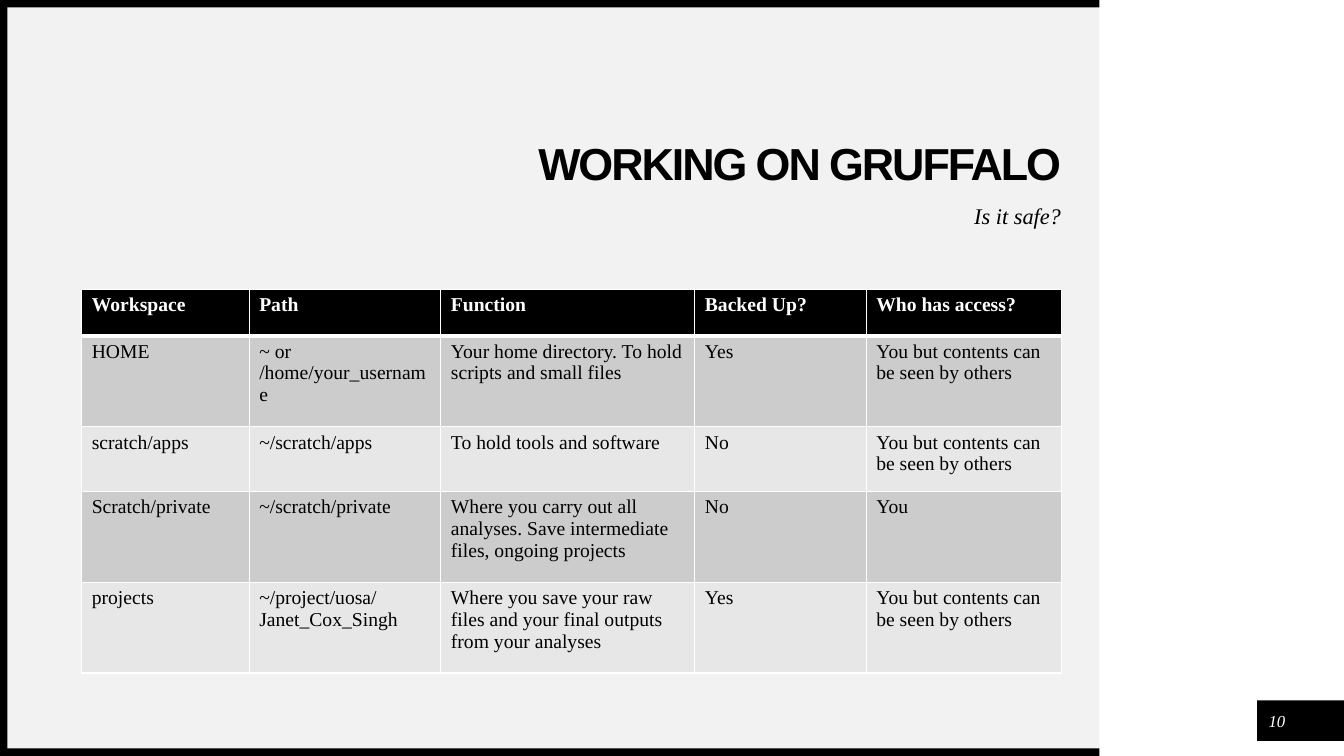
import pptx
import pptx.dml.color
import pptx.enum.shapes
import pptx.enum.text
import pptx.oxml.ns
import pptx.util
from lxml import etree

Cm = pptx.util.Cm
Pt = pptx.util.Pt
RGBColor = pptx.dml.color.RGBColor
PP_ALIGN = pptx.enum.text.PP_ALIGN
MSO_ANCHOR = pptx.enum.text.MSO_ANCHOR
qn = pptx.oxml.ns.qn

BLACK = RGBColor(0x00, 0x00, 0x00)
WHITE = RGBColor(0xFF, 0xFF, 0xFF)
PANEL = RGBColor(0xF2, 0xF2, 0xF2)
BAND_DARK = RGBColor(0xCC, 0xCC, 0xCC)
BAND_LIGHT = RGBColor(0xE7, 0xE7, 0xE7)

SLIDE_W, SLIDE_H = 33.87, 19.05
PANEL_RIGHT = 27.71
EDGE = 0.19

COL_WIDTHS = [4.22, 4.83, 6.4, 4.32, 4.93]
ROW_HEIGHTS = [1.17, 2.29, 1.63, 2.29, 2.29]
SHARED = "You but contents can be seen by others"
WORKSPACES = [
    ["Workspace", "Path", "Function", "Backed Up?", "Who has access?"],
    ["HOME", "~ or /home/your_username",
     "Your home directory. To hold scripts and small files", "Yes", SHARED],
    ["scratch/apps", "~/scratch/apps", "To hold tools and software", "No", SHARED],
    ["Scratch/private", "~/scratch/private",
     "Where you carry out all analyses. Save intermediate files, ongoing projects",
     "No", "You"],
    ["projects", "~/project/uosa/Janet_Cox_Singh",
     "Where you save your raw files and your final outputs from your analyses",
     "Yes", SHARED],
]


def write_text(tf, text, size=14, font="Times New Roman", color=BLACK, bold=False,
               italic=False, align=PP_ALIGN.LEFT, line_spacing=None, tracking=None):
    p = tf.paragraphs[0]
    p.alignment = align
    p.line_spacing = line_spacing
    r = p.add_run()
    r.text = text
    r.font.size = Pt(size)
    r.font.name = font
    r.font.color.rgb = color
    r.font.bold = bold
    r.font.italic = italic
    if tracking is not None:
        r.font._element.set("spc", str(round(tracking * 100)))


def add_block(s, left, top, width, height, color):
    sp = s.shapes.add_shape(pptx.enum.shapes.MSO_SHAPE.RECTANGLE,
                            Cm(left), Cm(top), Cm(width), Cm(height))
    sp.shadow.inherit = False
    sp.fill.solid()
    sp.fill.fore_color.rgb = color
    sp.line.fill.background()


def add_label(s, left, top, width, height, text, anchor=MSO_ANCHOR.TOP, **style):
    tf = s.shapes.add_textbox(Cm(left), Cm(top), Cm(width), Cm(height)).text_frame
    tf.word_wrap = True
    tf.vertical_anchor = anchor
    tf.margin_left = tf.margin_top = tf.margin_right = tf.margin_bottom = 0
    write_text(tf, text, **style)


def set_borders(cell, **widths):
    tc_pr = cell._tc.get_or_add_tcPr()
    for side in "LRTB":
        ln = etree.SubElement(tc_pr, qn(f"a:ln{side}"), w=str(Pt(widths.get(side, 1))))
        fill = etree.SubElement(ln, qn("a:solidFill"))
        etree.SubElement(fill, qn("a:srgbClr"), val=str(WHITE))


def add_workspace_table(s, left, top):
    table = s.shapes.add_table(len(ROW_HEIGHTS), len(COL_WIDTHS), Cm(left), Cm(top),
                               Cm(sum(COL_WIDTHS)), Cm(sum(ROW_HEIGHTS))).table
    for column, width in zip(table.columns, COL_WIDTHS):
        column.width = Cm(width)
    for i, (row, height) in enumerate(zip(table.rows, ROW_HEIGHTS)):
        row.height = Cm(height)
        header = i == 0
        band = BLACK if header else BAND_DARK if i % 2 else BAND_LIGHT
        for cell, text in zip(row.cells, WORKSPACES[i]):
            set_borders(cell, T=3 if i == 1 else 1, B=3 if header else 1)
            cell.fill.solid()
            cell.fill.fore_color.rgb = band
            write_text(cell.text_frame, text, bold=header,
                       color=WHITE if header else BLACK)


def main():
    prs = pptx.Presentation()
    prs.slide_width, prs.slide_height = Cm(SLIDE_W), Cm(SLIDE_H)
    s = prs.slides.add_slide(prs.slide_layouts[6])

    add_block(s, 0, 0, PANEL_RIGHT, SLIDE_H, PANEL)
    add_block(s, 31.68, 17.65, SLIDE_W - 31.68, 1.02, BLACK)
    for top in (0, SLIDE_H - EDGE):
        add_block(s, 0, top, PANEL_RIGHT, EDGE, BLACK)
    add_block(s, 0, 0, EDGE, SLIDE_H, BLACK)

    add_label(s, 12.34, 3.58, 14.4, 1.19, "WORKING ON GRUFFALO",
              anchor=MSO_ANCHOR.MIDDLE, size=32, font="Arial", bold=True,
              align=PP_ALIGN.RIGHT, line_spacing=0.9, tracking=-1.5)
    add_label(s, 12.34, 5.18, 14.4, 0.99, "Is it safe?", size=16, italic=True,
              align=PP_ALIGN.RIGHT, line_spacing=0.9)
    add_workspace_table(s, 2.06, 7.29)
    add_label(s, 31.8, 17.78, 0.76, 0.76, "10", anchor=MSO_ANCHOR.MIDDLE, size=12,
              color=WHITE, italic=True, align=PP_ALIGN.CENTER)

    prs.save("out.pptx")


if __name__ == "__main__":
    main()
